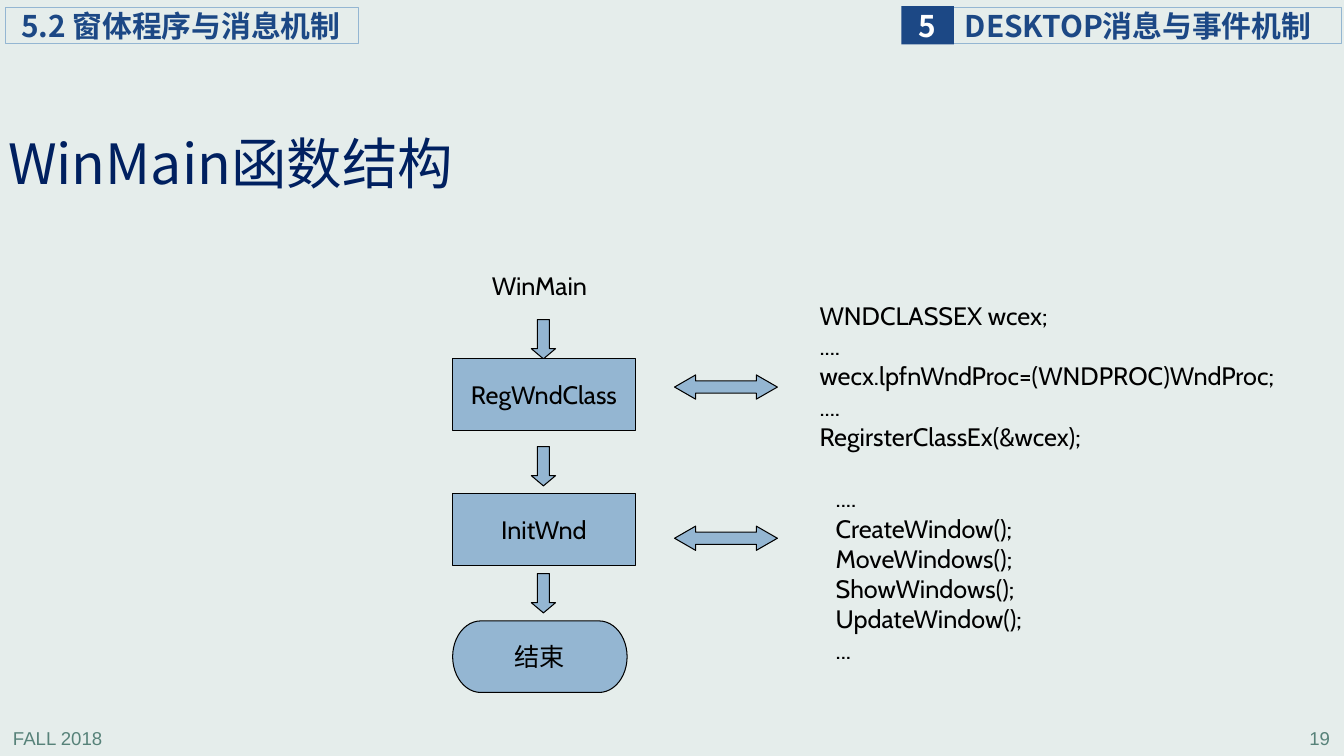
from lxml.etree import SubElement
from pptx import Presentation
from pptx.dml.color import RGBColor
from pptx.enum.shapes import MSO_SHAPE as Shape
from pptx.enum.text import MSO_ANCHOR as Anchor, PP_ALIGN as Align
from pptx.oxml.ns import qn
from pptx.util import Inches, Pt

BLUE, NAVY, TITLE = "94B6D2", "1C4885", "002060"
BLACK, WHITE, GREEN, PAPER = "000000", "FFFFFF", "578279", "E5EDEB"
CODE = {"size": 18, "name": "Cabin", "color": BLACK}
HEADER = {"size": 21.3, "name": "Noto Sans CJK SC", "color": NAVY, "bold": True}
HEADING = {"size": 39.6, "name": "Noto Sans CJK SC", "color": TITLE}
FOOTER = {"size": 13.3, "name": "Arial", "color": GREEN}
MARGINS = (0.1, 0.05, 0.1, 0.05)
REGISTER_CODE = [
    "WNDCLASSEX wcex;",
    "....",
    "wecx.lpfnWndProc=(WNDPROC)WndProc;",
    "....",
    "RegirsterClassEx(&wcex);",
]
WINDOW_CODE = [
    "....",
    "CreateWindow();",
    "MoveWindows();",
    "ShowWindows();",
    "UpdateWindow();",
    "...",
]


def paint(color_format, color):
    """Apply a hex colour to a fill, line fill or font fill."""
    color_format.solid()
    color_format.fore_color.rgb = RGBColor.from_string(color)


def format_run(run, style):
    """Give a run its font, for Latin and East Asian text alike."""
    values = {"size": Pt(style["size"]), "name": style["name"], "bold": style.get("bold", False)}
    for key, value in values.items():
        setattr(run.font, key, value)
    paint(run.font.fill, style["color"])
    SubElement(run.font._element, qn("a:ea"), typeface=style["name"])


def write(shape, lines, style, align=Align.LEFT, anchor=Anchor.TOP, margins=MARGINS, wrap=False, spacing=1.0):
    """Fill a shape with one paragraph per line."""
    frame = shape.text_frame
    left, top, right, bottom = map(Inches, margins)
    layout = {
        "word_wrap": wrap, "vertical_anchor": anchor, "margin_left": left,
        "margin_top": top, "margin_right": right, "margin_bottom": bottom,
    }
    for key, value in layout.items():
        setattr(frame, key, value)
    for index, line in enumerate(lines):
        paragraph = frame.add_paragraph() if index else frame.paragraphs[0]
        paragraph.alignment = align
        paragraph.line_spacing = spacing
        run = paragraph.add_run()
        run.text = line
        format_run(run, style)


def add_text(slide, box, lines, style, **layout):
    """Add a text box."""
    write(slide.shapes.add_textbox(*map(Inches, box)), lines, style, **layout)


def add_block(slide, kind, box, fill=BLUE, line=BLACK, adjustments=()):
    """Add a preset shape with an optional fill and line."""
    shape = slide.shapes.add_shape(kind, *map(Inches, box))
    shape.shadow.inherit = False
    if fill:
        paint(shape.fill, fill)
    else:
        shape.fill.background()
    if line:
        paint(shape.line.fill, line)
        shape.line.width = Pt(0.75)
    else:
        shape.line.fill.background()
    for index, value in enumerate(adjustments):
        shape.adjustments[index] = value
    return shape


def add_header(slide, box, text, indent):
    """Add an outlined header label."""
    label = add_block(slide, Shape.RECTANGLE, box, fill=None, line=BLUE)
    write(label, [text], HEADER, anchor=Anchor.MIDDLE, margins=(indent, 0, 0, 0), wrap=True)


def add_step(slide, kind, top, width, text):
    """Add a step of the flow chart."""
    step = add_block(slide, kind, (4.49, top, width, 0.71))
    write(step, [text], CODE, align=Align.CENTER, anchor=Anchor.MIDDLE)


def add_frame(slide):
    """Add the header labels and the footer."""
    add_text(slide, (0.03, 7.16, 2.78, 0.31), ["FALL 2018"], FOOTER, wrap=True)
    add_text(slide, (10.51, 7.16, 2.78, 0.31), ["19"], FOOTER, align=Align.RIGHT, wrap=True)
    add_header(slide, (9.45, 0.07, 3.86, 0.36), "DESKTOP消息与事件机制", 0.12)
    chapter = add_block(slide, Shape.RECTANGLE, (8.94, 0.06, 0.52, 0.38), fill=NAVY, line=None)
    write(chapter, ["5"], {**HEADER, "color": WHITE}, align=Align.CENTER,
          anchor=Anchor.MIDDLE, margins=(0, 0, 0, 0))
    add_header(slide, (0.05, 0.07, 3.51, 0.36), "5.2 窗体程序与消息机制", 0.16)


def add_flow(slide):
    """Add the flow chart with its arrows and code."""
    add_text(slide, (4.78, 2.63, 1.4, 0.4), ["WinMain"], CODE, wrap=True)
    for index in range(3):
        add_block(slide, Shape.DOWN_ARROW, (5.27, 3.17 + 1.26 * index, 0.24, 0.39), adjustments=(0.5, 0.42))
    for index, name in enumerate(["RegWndClass", "InitWnd"]):
        add_step(slide, Shape.FLOWCHART_PROCESS, 3.56 + 1.34 * index, 1.81, name)
        add_block(slide, Shape.LEFT_RIGHT_ARROW, (6.69, 3.72 + 1.5 * index, 1.02, 0.24), adjustments=(0.5, 0.87))
    add_step(slide, Shape.FLOWCHART_TERMINATOR, 6.16, 1.73, "结束")
    add_text(slide, (8.03, 2.93, 4.85, 1.6), REGISTER_CODE, CODE)
    add_text(slide, (8.19, 4.74, 2.15, 1.9), WINDOW_CODE, CODE)


def main():
    """Build and save the slide."""
    presentation = Presentation()
    presentation.slide_width = Inches(13.33)
    presentation.slide_height = Inches(7.5)
    slide = presentation.slides.add_slide(presentation.slide_layouts[6])
    paint(slide.background.fill, PAPER)
    add_frame(slide)
    add_text(slide, (0, 1.27, 5.06, 0.77), ["WinMain函数结构"], HEADING, anchor=Anchor.MIDDLE,
             margins=(0.08, 0.04, 0.08, 0.04), wrap=True, spacing=0.9)
    add_flow(slide)
    presentation.save("out.pptx")


if __name__ == "__main__":
    main()
